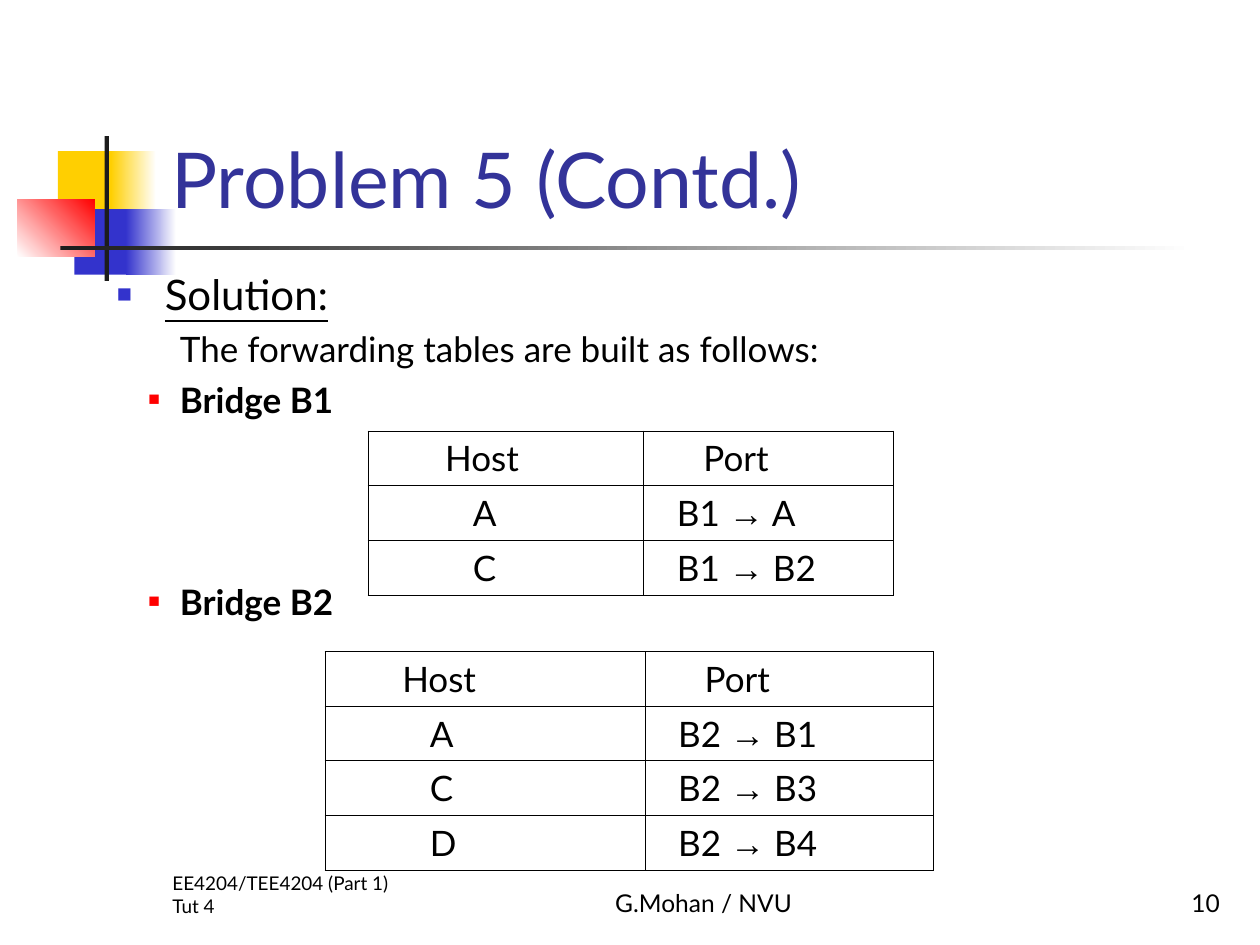
import pptx
import pptx.util
import pptx.dml.color
import pptx.enum.shapes
import pptx.enum.text
import pptx.oxml.ns
import lxml.etree

deck = pptx.Presentation()
deck.slide_width = pptx.util.Inches(10)
deck.slide_height = pptx.util.Inches(7.5)
UNIT = deck.slide_width / 100
ALIGN = pptx.enum.text.PP_ALIGN
ANCHOR = pptx.enum.text.MSO_ANCHOR
BLACK, WHITE, YELLOW, BLUE, RED = "000000", "FFFFFF", "FFCF01", "3333CC", "FF0000"
CHARCOAL, INDIGO = "1C1C1C", "333399"


def grid(*cells):
    return [round(cell * UNIT) for cell in cells]


def colour(value):
    return pptx.dml.color.RGBColor.from_string(value)


def child(parent, tag, **attributes):
    return lxml.etree.SubElement(parent, pptx.oxml.ns.qn(tag), **attributes)


def write(paragraph, words, size, shade=BLACK, font="Lato", bold=False, underline=False):
    run = paragraph.add_run()
    run.text = words
    run.font.size = pptx.util.Pt(size)
    run.font.name = font
    run.font.color.rgb = colour(shade)
    run.font.bold = bold
    run.font.underline = underline


def indent(paragraph, left, first=0):
    properties = paragraph._p.get_or_add_pPr()
    margin, offset = grid(left, first)
    properties.set("marL", str(margin))
    properties.set("indent", str(offset))
    return properties


def bullet(properties, shade, percent):
    child(child(properties, "a:buClr"), "a:srgbClr", val=shade)
    child(properties, "a:buSzPct", val=str(percent * 1000))
    child(properties, "a:buFont", typeface="Arial")
    child(properties, "a:buChar", char="■")


def text_frame(slide, box, anchor):
    frame = slide.shapes.add_textbox(*grid(*box)).text_frame
    frame.word_wrap = True
    frame.vertical_anchor = anchor
    return frame


def block(slide, box, start, end=None, angle=0):
    tile = slide.shapes.add_shape(pptx.enum.shapes.MSO_SHAPE.RECTANGLE, *grid(*box))
    tile.shadow.inherit = False
    tile.line.fill.background()
    if end is None:
        tile.fill.solid()
        tile.fill.fore_color.rgb = colour(start)
        return
    tile.fill.gradient()
    tile.fill.gradient_angle = angle
    for stop, position, shade in zip(tile.fill.gradient_stops, (0, 1), (start, end)):
        stop.position = position
        stop.color.rgb = colour(shade)


def emblem(slide, left, top):
    for x, y, width, height, *paint in (
        (3.2, 1.2, 4.8, 5.2, YELLOW),
        (7.4, 1.2, 3.6, 5.2, YELLOW, WHITE),
        (4.5, 5.8, 4.6, 5.2, BLUE),
        (8.6, 5.8, 4, 5.2, BLUE, WHITE),
        (0, 5, 6.1, 4.6, WHITE, RED, 45),
        (6.9, 0, 0.35, 11.5, CHARCOAL),
        (3.4, 8.7, 90, 0.35, CHARCOAL, WHITE),
    ):
        block(slide, (left + x, top + y, width, height), *paint)


def heading(slide, box, words):
    title = slide.shapes.title
    title.left, title.top, title.width, title.height = grid(*box)
    title.text_frame.vertical_anchor = ANCHOR.BOTTOM
    paragraph = title.text_frame.paragraphs[0]
    paragraph.alignment = ALIGN.LEFT
    write(paragraph, words, 44, INDIGO)


def solution(slide, box):
    frame = text_frame(slide, box, ANCHOR.TOP)
    opening = frame.paragraphs[0]
    opening.alignment = ALIGN.JUSTIFY
    opening.space_before = pptx.util.Pt(6)
    bullet(indent(opening, 3.8, -3.8), BLUE, 60)
    write(opening, "Solution:", 24, underline=True)
    for words, gap, is_bridge in (
        ("The forwarding tables are built as follows:", 5, False),
        ("Bridge B1", 5, True),
        ("Bridge B2", 91.5, True),
    ):
        line = frame.add_paragraph()
        line.level = 1
        line.space_before = pptx.util.Pt(gap)
        properties = indent(line, 5, -2.5 if is_bridge else 0)
        if is_bridge:
            bullet(properties, RED, 55)
        write(line, words, 20, bold=is_bridge)


def border(cell):
    properties = cell._tc.get_or_add_tcPr()
    for side in ("L", "R", "T", "B"):
        edge = child(properties, "a:ln" + side, w=str(pptx.util.Pt(0.45)))
        child(child(edge, "a:solidFill"), "a:srgbClr", val=BLACK)


def forwarding_table(slide, box, host_width, bridge, routes):
    left, top, width, height = box
    rows = len(routes) + 1
    table = slide.shapes.add_table(rows, 2, *grid(left, top, width, height)).table
    table.first_row = table.horz_banding = False
    for column, share in zip(table.columns, grid(host_width, width - host_width)):
        column.width = share
    entries = [(5.3, ["Host"], 3.9, ["Port"])]
    entries += [(7.5, [host], 1.8, [bridge + " ", "→", " " + hop]) for host, hop in routes]
    for row, (host_inset, host, port_inset, port) in enumerate(entries):
        for column, inset, pieces in ((0, host_inset, host), (1, port_inset, port)):
            cell = table.cell(row, column)
            cell.margin_left, cell.margin_right = grid(0.83, 0.83)
            border(cell)
            cell.fill.background()
            paragraph = cell.text_frame.paragraphs[0]
            indent(paragraph, inset)
            for piece in pieces:
                write(paragraph, piece, 20, font="Arial" if piece == "→" else "Lato")


def footer(slide, top, height):
    for left, width, words, size, alignment in (
        (12.7, 20.8, "EE4204/TEE4204 (Part 1) Tut 4", 10.8, ALIGN.LEFT),
        (40, 31.7, "G.Mohan / NVU", 14, ALIGN.CENTER),
        (77, 20.8, "10", 14, ALIGN.RIGHT),
    ):
        paragraph = text_frame(slide, (left, top, width, height), ANCHOR.BOTTOM).paragraphs[0]
        paragraph.alignment = alignment
        write(paragraph, words, size)


def main():
    slide = deck.slides.add_slide(deck.slide_layouts[5])
    emblem(slide, 1.4, 10.8)
    heading(slide, (12.6, 2.3, 85.2, 16), "Problem 5 (Contd.)")
    solution(slide, (8.3, 20.8, 88.3, 45))
    footer(slide, 68.3, 5)
    forwarding_table(slide, (29.2, 34.2, 41.7, 10), 21.9, "B1", [("A", "A"), ("C", "B2")])
    forwarding_table(slide, (25.8, 51.7, 48.3, 13.3), 25.4, "B2",
                     [("A", "B1"), ("C", "B3"), ("D", "B4")])
    deck.save("out.pptx")


if __name__ == "__main__":
    main()
